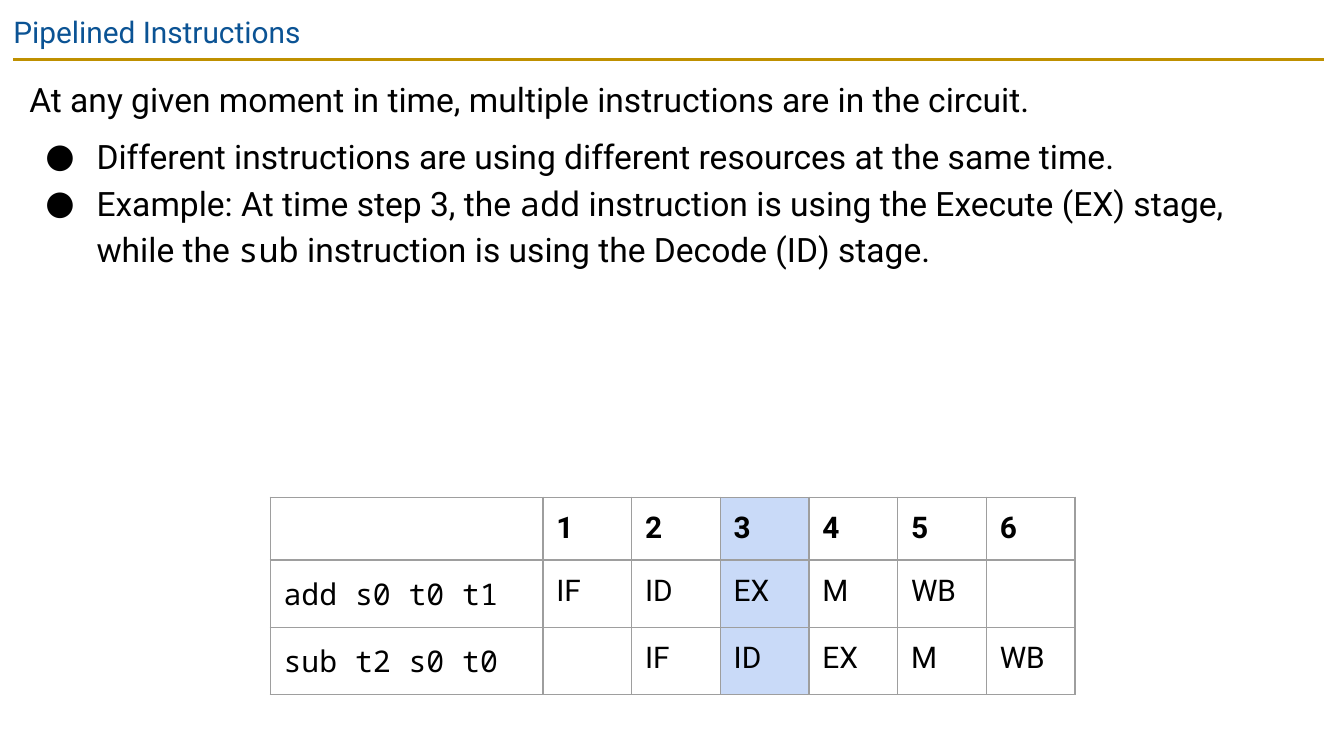
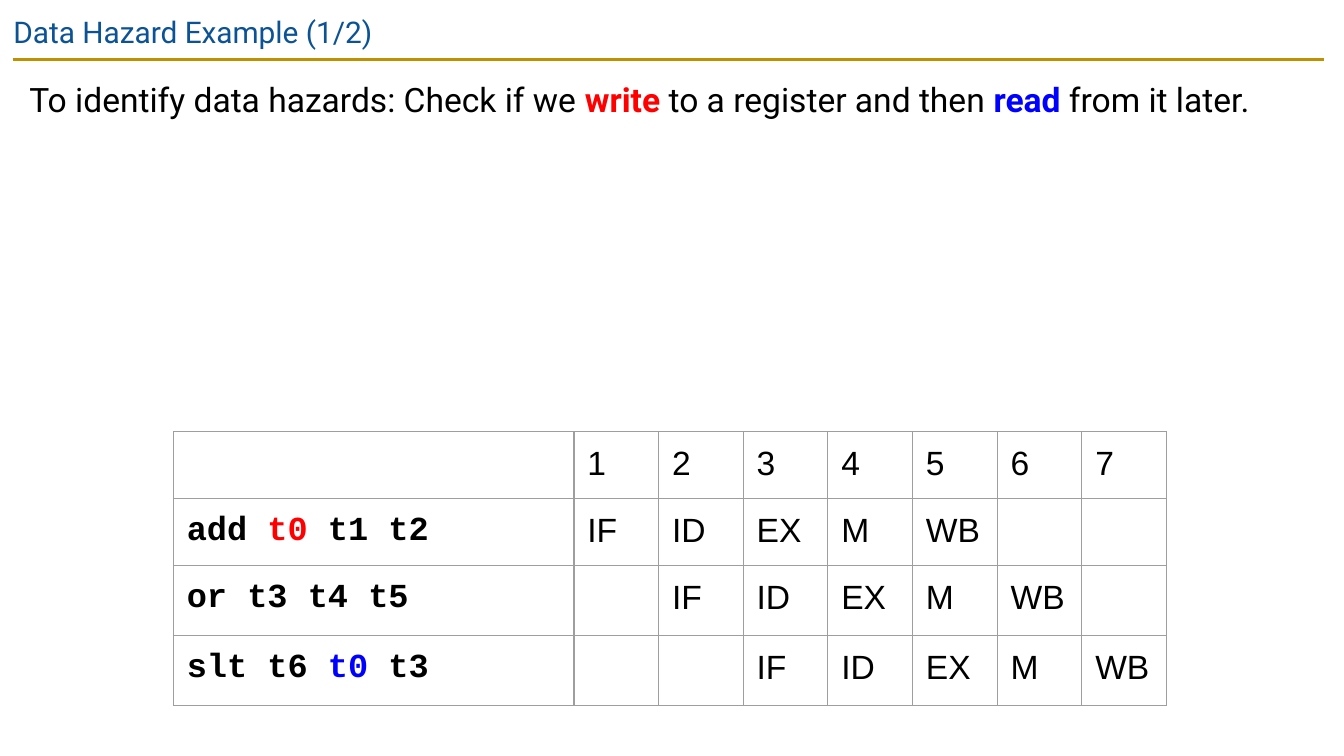
from dataclasses import dataclass

from lxml.etree import SubElement
from pptx import Presentation
from pptx.dml.color import RGBColor
from pptx.enum.shapes import MSO_CONNECTOR
from pptx.enum.text import MSO_ANCHOR, MSO_AUTO_SIZE, PP_ALIGN
from pptx.oxml.ns import qn
from pptx.util import Inches, Pt

COLORS = {
    "text": "000000",
    "title": "0B5394",
    "rule": "BF9000",
    "grid": "9E9E9E",
    "step": "C9DAF8",
    "write": "FF0000",
    "read": "0000FF",
}
STAGES = ["IF", "ID", "EX", "M", "WB"]
PAD = Inches(0.1)


@dataclass
class Run:
    text: str
    color: str = "text"
    bold: bool = False
    font: str = ""


@dataclass
class Line:
    runs: list[Run]
    bullet: bool = False
    before: int = 0


@dataclass
class Chart:
    """A pipeline table: each instruction starts one time step later."""
    left: float
    top: float
    first: float
    step: float
    rows: list[float]
    code: list[list[Run]]
    font: str
    mono: str
    size: int
    bold_head: bool = False
    bold_code: bool = False
    mark: int = 0


def rgb(name: str) -> RGBColor:
    return RGBColor.from_string(COLORS[name])


def write(par, text: str, *, font: str, size: int, color: str = "text",
          bold: bool = False) -> None:
    """Append text to a paragraph; a newline becomes a line break."""
    for i, part in enumerate(text.split("\n")):
        if i:
            par.add_line_break()
        run = par.add_run()
        run.text = part
        run.font.name = font
        run.font.size = Pt(size)
        run.font.bold = bold
        run.font.color.rgb = rgb(color)


def inset(frame) -> None:
    frame.margin_left = frame.margin_right = PAD
    frame.margin_top = frame.margin_bottom = PAD


def add_bullet(par) -> None:
    props = par._p.get_or_add_pPr()
    props.set("marL", str(Inches(0.5)))
    props.set("indent", str(Inches(-0.38)))
    tint = SubElement(props, qn("a:buClr"))
    SubElement(tint, qn("a:srgbClr"), val=COLORS["text"])
    SubElement(props, qn("a:buFont"), typeface="Roboto")
    SubElement(props, qn("a:buChar"), char="●")


def add_border(cell) -> None:
    props = cell._tc.get_or_add_tcPr()
    for side in ("lnL", "lnR", "lnT", "lnB"):
        edge = SubElement(props, qn(f"a:{side}"), w=str(Pt(0.75)))
        fill = SubElement(edge, qn("a:solidFill"))
        SubElement(fill, qn("a:srgbClr"), val=COLORS["grid"])


def add_slide(deck, title: str):
    """Add a slide with the shared title and the rule below it."""
    slide = deck.slides.add_slide(deck.slide_layouts[5])
    head = slide.shapes.title
    head.left, head.top = Inches(0), Inches(0)
    head.width, head.height = Inches(10), Inches(0.43)
    frame = head.text_frame
    inset(frame)
    frame.auto_size = MSO_AUTO_SIZE.NONE
    frame.vertical_anchor = MSO_ANCHOR.TOP
    par = frame.paragraphs[0]
    par.alignment = PP_ALIGN.LEFT
    write(par, title, font="Roboto", size=16, color="title")

    rule = slide.shapes.add_connector(
        MSO_CONNECTOR.STRAIGHT,
        Inches(0.1), Inches(0.44), Inches(9.85), Inches(0.44))
    rule.line.color.rgb = rgb("rule")
    rule.line.width = Pt(1.5)
    SubElement(rule._element.spPr, qn("a:effectLst"))
    return slide


def add_body(slide, lines: list[Line], height: float) -> None:
    box = slide.shapes.add_textbox(
        Inches(0.12), Inches(0.44), Inches(9.74), Inches(height))
    frame = box.text_frame
    frame.word_wrap = True
    inset(frame)
    for i, line in enumerate(lines):
        par = frame.add_paragraph() if i else frame.paragraphs[0]
        if line.bullet:
            add_bullet(par)
        par.line_spacing = 1.15
        par.space_before = Pt(line.before)
        for run in line.runs:
            write(par, run.text, font=run.font or "Roboto", size=18,
                  color=run.color, bold=run.bold)


def fill_cell(cell, runs: list[Run], chart: Chart, shade: bool) -> None:
    inset(cell)
    cell.vertical_anchor = MSO_ANCHOR.TOP
    add_border(cell)
    if shade:
        cell.fill.solid()
        cell.fill.fore_color.rgb = rgb("step")
    else:
        cell.fill.background()
    par = cell.text_frame.paragraphs[0]
    for run in runs:
        write(par, run.text, font=run.font or chart.font, size=chart.size,
              color=run.color, bold=run.bold)
    if not runs:
        end = SubElement(par._p, qn("a:endParaRPr"),
                         sz=str(chart.size * 100))
        SubElement(end, qn("a:latin"), typeface=chart.font)


def add_chart(slide, chart: Chart) -> None:
    steps = len(STAGES) + len(chart.code) - 1
    grid = [[[]] + [[Run(str(n + 1), bold=chart.bold_head)]
                    for n in range(steps)]]
    for start, code in enumerate(chart.code):
        name = [Run(r.text, r.color, chart.bold_code, chart.mono)
                for r in code]
        rest = steps - start - len(STAGES)
        grid.append([name] + [[]] * start + [[Run(s)] for s in STAGES]
                    + [[]] * rest)

    table = slide.shapes.add_table(
        len(grid), steps + 1, Inches(chart.left), Inches(chart.top),
        Inches(chart.first + steps * chart.step),
        Inches(sum(chart.rows))).table
    table.first_row = table.horz_banding = False
    for i, col in enumerate(table.columns):
        col.width = Inches(chart.step if i else chart.first)
    for row, height in zip(table.rows, chart.rows):
        row.height = Inches(height)
    for y, row in enumerate(grid):
        for x, runs in enumerate(row):
            fill_cell(table.cell(y, x), runs, chart, 0 < x == chart.mark)


def main() -> None:
    deck = Presentation()
    deck.slide_width = Inches(10)
    deck.slide_height = Inches(10) * 9 // 16

    slide = add_slide(deck, "Pipelined Instructions")
    mono = "Noto Sans Mono"
    add_body(slide, [
        Line([Run("At any given moment in time, multiple instructions "
                  "are in the circuit.")]),
        Line([Run("Different instructions are using different resources "
                  "at the same time.")], bullet=True, before=6),
        Line([Run("Example: At time step 3, the "),
              Run("add", font=mono),
              Run(" instruction is using the Execute (EX) stage,\n"
                  "while the "),
              Run("sub", font=mono),
              Run(" instruction is using the Decode (ID) stage.")],
             bullet=True),
    ], height=4.95)
    add_chart(slide, Chart(
        left=2.01, top=3.7, first=2.03, step=0.66, rows=[0.45, 0.5, 0.5],
        code=[[Run("add s0 t0 t1")], [Run("sub t2 s0 t0")]],
        font="Roboto", mono=mono, size=16, bold_head=True, mark=3))

    slide = add_slide(deck, "Data Hazard Example (1/2)")
    add_body(slide, [
        Line([Run("To identify data hazards: Check if we "),
              Run("write", "write", bold=True),
              Run(" to a register and then "),
              Run("read", "read", bold=True),
              Run(" from it later.")]),
    ], height=1.66)
    add_chart(slide, Chart(
        left=1.29, top=3.21, first=2.98, step=0.63,
        rows=[0.5, 0.48, 0.52, 0.52],
        code=[[Run("add "), Run("t0", "write"), Run(" t1 t2")],
              [Run("or t3 t4 t5")],
              [Run("slt t6 "), Run("t0", "read"), Run(" t3")]],
        font="Arial", mono="Courier New", size=18, bold_code=True))

    deck.save("out.pptx")


if __name__ == "__main__":
    main()
